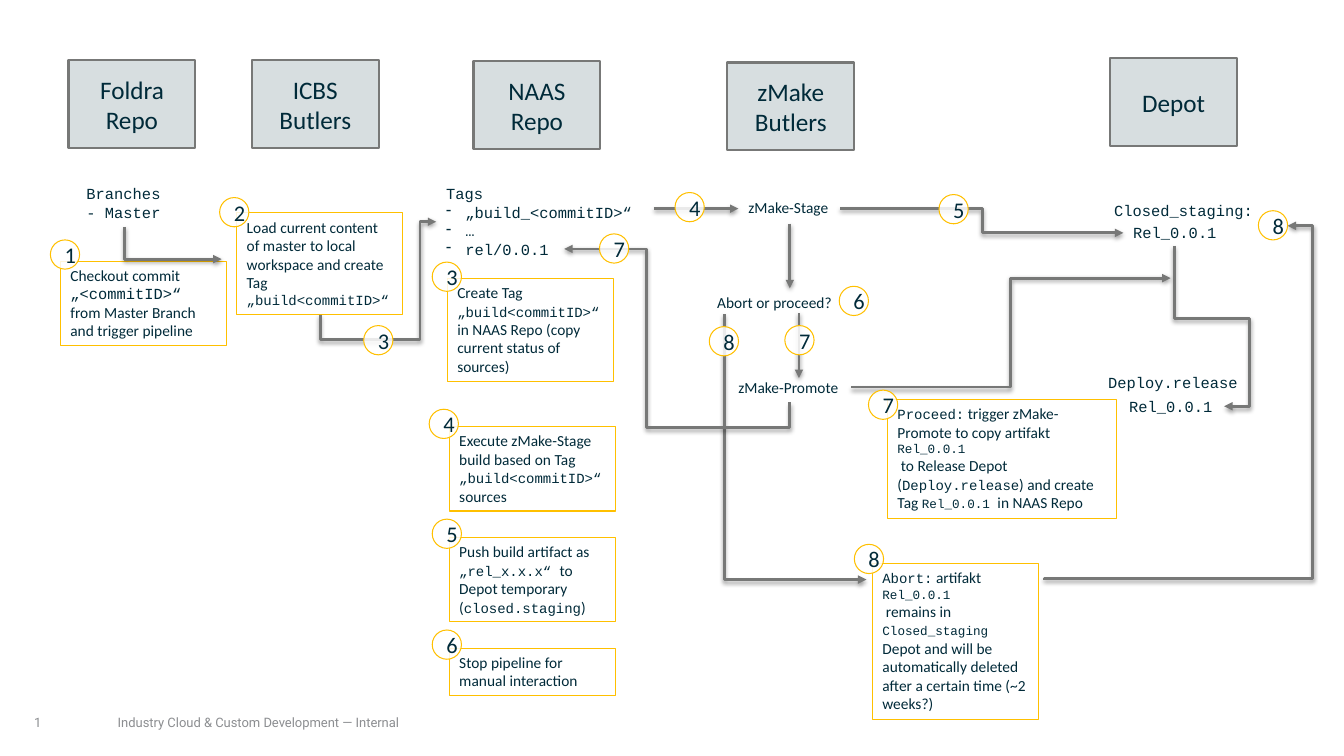
from dataclasses import dataclass
from typing import NamedTuple

from lxml.etree import SubElement
from pptx import Presentation
from pptx.dml.color import RGBColor
from pptx.enum.shapes import MSO_CONNECTOR as Link, MSO_SHAPE as Preset
from pptx.enum.text import MSO_ANCHOR as Anchor, MSO_AUTO_SIZE as AutoSize, PP_ALIGN as Align
from pptx.oxml.ns import qn
from pptx.util import Pt

PX = 9144
INK = RGBColor(0x00, 0x2A, 0x39)
PANEL = RGBColor(0xD1, 0xD9, 0xDB)
GREY = RGBColor(0x77, 0x78, 0x77)
AMBER = RGBColor(0xFF, 0xC0, 0x00)
WHITE = RGBColor(0xFF, 0xFF, 0xFF)
FOOTER = RGBColor(0x8C, 0x8E, 0x91)
SANS, MONO, FOOTER_FONT = "Calibri", "Courier New", "Roboto"
SYSTEM_SIZE = (126, 87)
BADGE_SIZE = (29, 29)


class Span(NamedTuple):
    text: str
    size: float = 11
    face: str = SANS


def code(text: str, size: float = 10) -> Span:
    return Span(text, size, MONO)


Lines = list[list[Span]]


@dataclass
class System:
    x: int
    y: int
    names: list[str]


@dataclass
class Label:
    x: int
    y: int
    width: int
    height: int
    lines: Lines
    wrap: bool = False
    dashes_from: int = 99


@dataclass
class Step:
    x: int
    y: int
    width: int
    height: int
    lines: Lines


@dataclass
class Flow:
    start: tuple[int, int]
    end: tuple[int, int]
    turns: tuple[int, ...] = ()
    vertical: bool = False
    source: tuple[str, int] | None = None
    target: tuple[str, int] | None = None


class Badge(NamedTuple):
    number: int
    x: int
    y: int


SYSTEMS = [
    System(68, 60, ["Foldra Repo"]),
    System(250, 60, ["ICBS", "Butlers"]),
    System(470, 61, ["NAAS Repo"]),
    System(722, 62, ["zMake", "Butlers"]),
    System(1102, 58, ["Depot"]),
]
LABELS = [
    Label(1096, 195, 160, 47, [[code("Closed_staging:", 11)]]),
    Label(76, 178, 95, 47, [[code("Branches", 11)], [code("- Master", 11)]]),
    Label(433, 178, 206, 84, [[code(tag, 11)] for tag in
                              ("Tags", "„build_<commitID>“", "…", "rel/0.0.1")], dashes_from=1),
    Label(733, 192, 102, 30, [[Span("zMake-Stage")]]),
    Label(1090, 365, 150, 29, [[code("Deploy.release", 11)]]),
    Label(723, 370, 121, 29, [[Span("zMake-Promote")]]),
    Label(702, 286, 164, 29, [[Span("Abort or proceed?")]], wrap=True),
    Label(1111, 389, 104, 29, [[code("Rel_0.0.1", 11)]]),
    Label(1115, 216, 104, 29, [[code("Rel_0.0.1", 11)]]),
]
FOOTERS = [
    Label(107, 697, 662, 40, [[Span("Industry Cloud & Custom Development — Internal", 9.3, FOOTER_FONT)]]),
    Label(24, 697, 116, 40, [[Span("1", 9.3, FOOTER_FONT)]]),
]
STEPS = [
    Step(60, 259, 165, 84, [[Span("Checkout commit "), code("„<commitID>“ ", 11),
                             Span("from Master Branch and trigger pipeline")]]),
    Step(235, 211, 165, 101, [[Span("Load current content of master to local workspace and create Tag "),
                               code("„build<commitID>“")]]),
    Step(444, 276, 165, 103, [[Span("Create Tag "), code("„build<commitID>“"), code(" ", 11),
                               Span("in NAAS Repo (copy current status of sources)")]]),
    Step(446, 423, 165, 84, [[Span("Execute zMake-Stage build based on Tag "),
                              code("„build<commitID>“"), code(" ", 11), Span("sources")]]),
    Step(446, 533, 165, 84, [[Span("Push build artifact as "), code("„rel_x.x.x“ "),
                              Span("to Depot temporary ("), code("closed.staging"), Span(")")]]),
    Step(446, 643, 165, 47, [[Span("Stop pipeline for manual interaction")]]),
    Step(881, 396, 227, 118, [
        [code("Proceed:"), Span(" trigger zMake-Promote to copy artifakt "), code("Rel_0.0.1", 9)],
        [Span(" to Release Depot ("), code("Deploy.release"), Span(") and create Tag "),
         code("Rel_0.0.1 ", 9), Span("in NAAS Repo")]]),
    Step(866, 559, 165, 155, [
        [code("Abort:"), Span(" artifakt "), code("Rel_0.0.1", 9)],
        [Span(" remains in "), code("Closed_staging", 9),
         Span(" Depot and will be automatically deleted after a certain time (~2 weeks?)")]]),
]
FLOWS = [
    Flow((124, 225), (220, 257), vertical=True),
    Flow((1166, 244), (1215, 403), (316, 1240), vertical=True),
    Flow((845, 384), (1162, 276), (1003,)),
    Flow((834, 207), (1115, 231), (975,)),
    Flow((784, 222), (784, 286), source=("zMake-Stage", 2), target=("Abort or proceed?", 0)),
    Flow((793, 311), (793, 375)),
    Flow((719, 312), (860, 575), vertical=True),
    Flow((318, 312), (433, 220), (337, 417), vertical=True),
    Flow((649, 207), (733, 207), target=("zMake-Stage", 1)),
    Flow((1037, 575), (1278, 224), (574, 1303), vertical=True),
    Flow((784, 399), (560, 247), (424, 642), vertical=True),
]
BADGES = [
    Badge(1, 50, 238), Badge(2, 218, 196), Badge(3, 429, 260), Badge(3, 361, 323),
    Badge(4, 426, 406), Badge(4, 670, 191), Badge(5, 429, 515), Badge(5, 932, 193),
    Badge(6, 429, 625), Badge(6, 833, 284), Badge(7, 862, 387), Badge(7, 779, 323),
    Badge(7, 595, 232), Badge(8, 704, 324), Badge(8, 848, 540), Badge(8, 1249, 209),
]


def write(frame, lines: Lines, color=INK, align=None, dashes_from: int = 99) -> None:
    for row, spans in enumerate(lines):
        paragraph = frame.paragraphs[0] if row == 0 else frame.add_paragraph()
        if align is not None:
            paragraph.alignment = align
        if row >= dashes_from:
            properties = paragraph._p.get_or_add_pPr()
            properties.set("marL", str(19 * PX))
            properties.set("indent", str(-19 * PX))
            SubElement(properties, qn("a:buChar"), char="-")
        uniform = len({(span.size, span.face) for span in spans}) == 1
        paragraph.font.color.rgb = color
        for span in spans:
            run = paragraph.add_run()
            run.text = span.text
            font = paragraph.font if uniform else run.font
            font.size, font.name = Pt(span.size), span.face


def add_panel(slide, preset, x: int, y: int, size: tuple[int, int], line, weight: float, fill=None):
    panel = slide.shapes.add_shape(preset, x * PX, y * PX, size[0] * PX, size[1] * PX)
    panel.shadow.inherit = False
    if fill is None:
        panel.fill.background()
    else:
        panel.fill.solid()
        panel.fill.fore_color.rgb = fill
        tint = panel._element.spPr.find(qn("a:solidFill")).find(qn("a:srgbClr"))
        SubElement(tint, qn("a:alpha"), val="85000")
    panel.line.color.rgb = line
    panel.line.width = Pt(weight)
    panel.text_frame.word_wrap = True
    return panel


def add_step(slide, step: Step) -> None:
    frame = add_panel(slide, Preset.RECTANGLE, step.x, step.y, (step.width, step.height), AMBER, 0.75).text_frame
    frame.vertical_anchor = Anchor.TOP
    frame.auto_size = AutoSize.SHAPE_TO_FIT_TEXT
    write(frame, step.lines, align=Align.LEFT)


def add_label(slide, label: Label, color=INK):
    box = slide.shapes.add_textbox(label.x * PX, label.y * PX, label.width * PX, label.height * PX)
    box.text_frame.word_wrap = label.wrap
    box.text_frame.auto_size = AutoSize.SHAPE_TO_FIT_TEXT
    write(box.text_frame, label.lines, color, dashes_from=label.dashes_from)
    return box


def add_footer(slide, footer: Label) -> None:
    frame = add_label(slide, footer, FOOTER).text_frame
    frame.word_wrap = True
    frame.auto_size = AutoSize.NONE
    frame.vertical_anchor = Anchor.MIDDLE


def add_flow(slide, flow: Flow, labels: dict) -> None:
    (x1, y1), (x2, y2) = flow.start, flow.end
    dx, dy = x2 - x1, y2 - y1
    straight = dx == 0 or dy == 0
    kind = Link.STRAIGHT if straight else Link.ELBOW
    arrow = slide.shapes.add_connector(kind, x1 * PX, y1 * PX, x2 * PX, y2 * PX)
    shape_properties = arrow._element.spPr
    if not straight:
        geometry = shape_properties.find(qn("a:prstGeom"))
        geometry.set("prst", f"bentConnector{len(flow.turns) + 2}")
        axes = [(x1, dx), (y1, dy)]
        if flow.vertical:
            axes.reverse()
            arrow.left, arrow.top = (x1 + x2 - abs(dy)) * PX // 2, (y1 + y2 - abs(dx)) * PX // 2
            arrow.width, arrow.height = abs(dy) * PX, abs(dx) * PX
            transform = shape_properties.find(qn("a:xfrm"))
            transform.set("rot", str((90 if dy > 0 else 270) * 60000))
            transform.set("flipH", "0")
            transform.set("flipV", str(int((dx > 0) == (dy > 0))))
        guides = geometry.find(qn("a:avLst"))
        for index, (turn, (origin, reach)) in enumerate(zip(flow.turns, axes), 1):
            ratio = round((turn - origin) / reach * 100000)
            SubElement(guides, qn("a:gd"), name=f"adj{index}", fmla=f"val {ratio}")
    if flow.source:
        arrow.begin_connect(labels[flow.source[0]], flow.source[1])
    if flow.target:
        arrow.end_connect(labels[flow.target[0]], flow.target[1])
    arrow.line.color.rgb = GREY
    arrow.line.width = Pt(2)
    SubElement(shape_properties.find(qn("a:ln")), qn("a:tailEnd"), type="triangle")
    effects = SubElement(shape_properties, qn("a:effectLst"))
    shadow = SubElement(effects, qn("a:outerShdw"), blurRad="40000", dist="20000", dir="5400000", rotWithShape="0")
    SubElement(SubElement(shadow, qn("a:srgbClr"), val="000000"), qn("a:alpha"), val="38000")


def main() -> None:
    deck = Presentation()
    deck.slide_width, deck.slide_height = 1334 * PX, 750 * PX
    slide = deck.slides.add_slide(deck.slide_layouts[6])
    for footer in FOOTERS:
        add_footer(slide, footer)
    for system in SYSTEMS:
        panel = add_panel(slide, Preset.RECTANGLE, system.x, system.y, SYSTEM_SIZE, GREY, 1.5, PANEL)
        write(panel.text_frame, [[Span(name, 18)] for name in system.names], align=Align.CENTER)
    labels = {label.lines[0][0].text: add_label(slide, label) for label in LABELS}
    for step in STEPS:
        add_step(slide, step)
    for flow in FLOWS:
        add_flow(slide, flow, labels)
    for badge in BADGES:
        disc = add_panel(slide, Preset.OVAL, badge.x, badge.y, BADGE_SIZE, AMBER, 0.75, WHITE)
        write(disc.text_frame, [[Span(str(badge.number), 16)]], align=Align.CENTER)
    deck.save("out.pptx")


if __name__ == "__main__":
    main()
